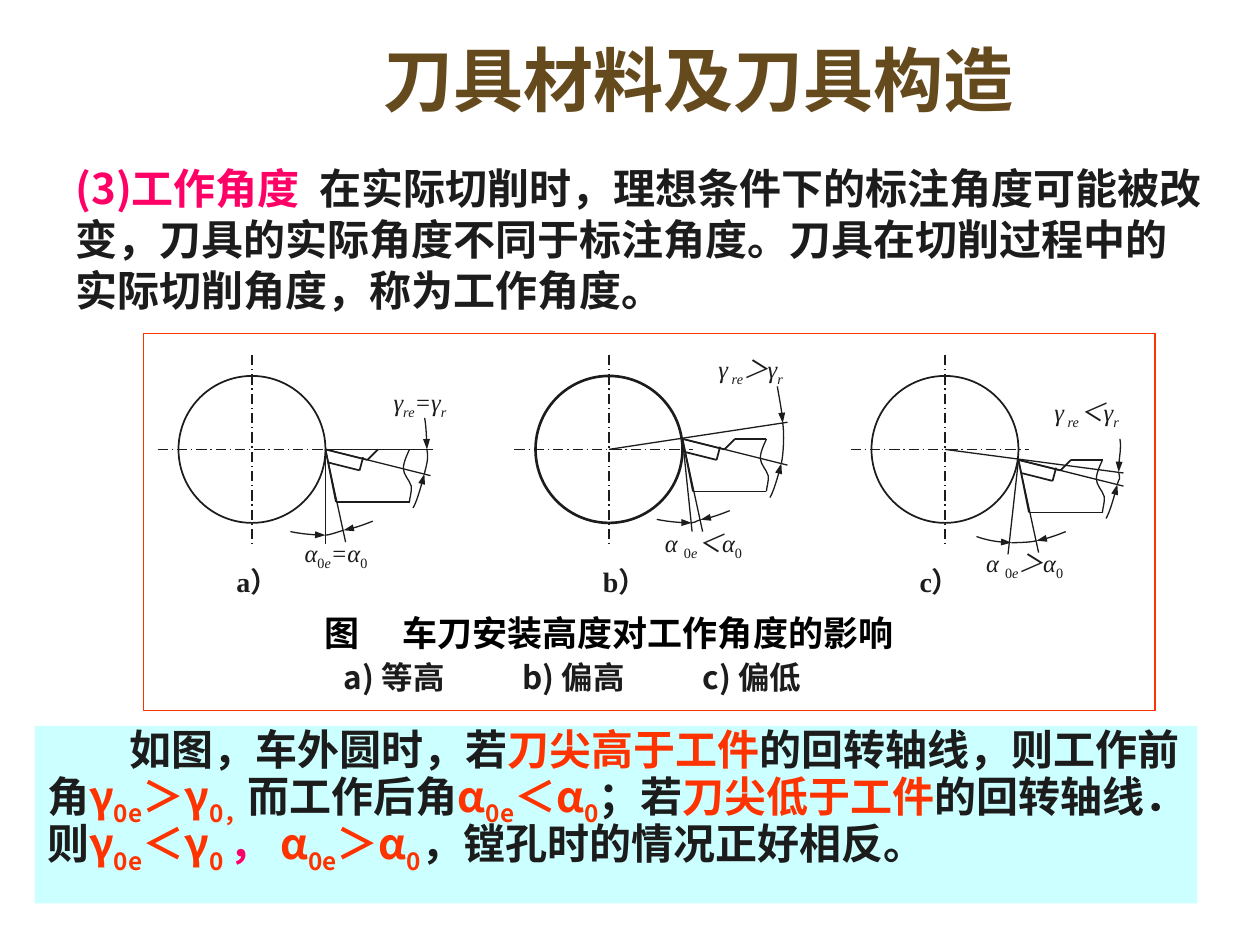
"""Build the slide on working angles of a turning tool."""
from dataclasses import dataclass

from lxml.etree import SubElement
from pptx import Presentation
from pptx.dml.color import RGBColor
from pptx.enum.dml import MSO_LINE
from pptx.enum.shapes import MSO_CONNECTOR, MSO_SHAPE
from pptx.enum.text import MSO_ANCHOR, PP_ALIGN
from pptx.oxml import parse_xml
from pptx.oxml.ns import nsdecls, qn
from pptx.util import Pt


@dataclass(frozen=True)
class Theme:
    ink: str = "1C1C1C"
    brown: str = "654A1D"
    pink: str = "FF0066"
    red: str = "FF3300"
    cyan: str = "CCFFFF"
    white: str = "FFFFFF"
    black: str = "000000"
    title: int = 40
    body: int = 24
    caption: int = 20
    key: int = 18
    panel: int = 16
    label: int = 14
    head_font: str = "Cabin"
    body_font: str = "Noto Sans CJK SC"
    label_font: str = "Times New Roman"


T = Theme()
rgb = RGBColor.from_string
prs = Presentation()
prs.slide_width, prs.slide_height = Pt(720), Pt(540)
s = prs.slides.add_slide(prs.slide_layouts[5])


def write(tf, runs, font, size, align=PP_ALIGN.LEFT, bold=True, italic=False, spacing=None):
    """Fill the first paragraph with (text, colour, subscript) runs; digits stay upright."""
    tf.word_wrap = True
    p = tf.paragraphs[0]
    p.alignment, p.line_spacing = align, spacing
    p.font.name, p.font.size, p.font.bold = font, Pt(size), bold
    for text, color, sub in runs:
        r = p.add_run()
        r.text = text
        r.font.color.rgb = rgb(color)
        r.font.italic = italic and not text.isdigit()
        SubElement(r._r.get_or_add_rPr(), qn("a:ea"), typeface=T.body_font)
        if sub:
            r._r.rPr.set("baseline", "-25000")
    return p


def stroke(points, width=0.75, dash=None, arrow=False):
    """Draw a straight line through two points or a chain of Bézier curves through 3n+1."""
    pts = [(Pt(x), Pt(y)) for x, y in points]
    if len(pts) == 2:
        sp = s.shapes.add_connector(MSO_CONNECTOR.STRAIGHT, *pts[0], *pts[1])
        SubElement(sp._element.spPr, qn("a:effectLst"))
    else:
        fb = s.shapes.build_freeform(*pts[0])
        fb.add_line_segments(pts[1:], close=False)
        sp = fb.convert_to_shape()
        sp.fill.background()
        sp.shadow.inherit = False
        segments = list(sp._element.iter(qn("a:lnTo")))
        outline = segments[0].getparent()
        for i in range(0, len(segments), 3):
            bezier = SubElement(outline, qn("a:cubicBezTo"))
            for segment in segments[i:i + 3]:
                bezier.append(segment[0])
                outline.remove(segment)
    sp.line.color.rgb, sp.line.width = rgb(T.ink), Pt(width)
    if dash:
        sp.line.dash_style = dash
    if arrow:
        SubElement(sp.line._get_or_add_ln(), qn("a:tailEnd"), type="triangle", w="sm", len="med")


title = s.shapes.title
title.left, title.top, title.width, title.height = Pt(212), Pt(0), Pt(397), Pt(90)
title.text_frame.vertical_anchor = MSO_ANCHOR.MIDDLE
write(title.text_frame, [("刀具材料及刀具构造", T.brown, False)], T.head_font, T.title)

intro = s.shapes.add_textbox(Pt(36), Pt(89.4), Pt(660), Pt(94))
write(intro.text_frame, [
    ("(3)工作角度", T.pink, False),
    ("  在实际切削时，理想条件下的标注角度可能被改变，刀具的实际角度不同于标注角度。"
     "刀具在切削过程中的实际切削角度，称为工作角度。", T.ink, False),
], T.body_font, T.body, spacing=Pt(29))

note = s.shapes.add_shape(MSO_SHAPE.RECTANGLE, Pt(19.8), Pt(414.8), Pt(664.4), Pt(101.4))
note.shadow.inherit = False
note.fill.solid()
note.fill.fore_color.rgb = rgb(T.cyan)
note.line.fill.background()
note.text_frame.vertical_anchor = MSO_ANCHOR.TOP
p = write(note.text_frame, [
    ("如图，车外圆时，若", T.ink, False), ("刀尖高于工件", T.red, False),
    ("的回转轴线，则工作前角", T.ink, False),
    ("γ", T.red, False), ("0e", T.red, True), ("＞γ", T.red, False), ("0，", T.red, True),
    ("而工作后角", T.ink, False),
    ("α", T.red, False), ("0e", T.red, True), ("＜α", T.red, False), ("0", T.red, True),
    ("；若", T.ink, False), ("刀尖低于工件", T.red, False), ("的回转轴线．则", T.ink, False),
    ("γ", T.red, False), ("0e", T.red, True), ("＜γ", T.red, False), ("0 ", T.red, True),
    ("， ", T.pink, False),
    ("α", T.red, False), ("0e", T.red, True), ("＞α", T.red, False), ("0", T.red, True),
    ("，镗孔时的情况正好相反。", T.ink, False),
], T.body_font, T.body, spacing=0.83)
p._p.pPr.set("indent", str(Pt(47)))

frame = s.shapes.add_shape(MSO_SHAPE.RECTANGLE, Pt(82), Pt(190.6), Pt(578), Pt(215.4))
frame.shadow.inherit = False
frame.fill.solid()
frame.fill.fore_color.rgb = rgb(T.white)
frame.line.color.rgb, frame.line.width = rgb(T.red), Pt(0.75)

caption = s.shapes.add_textbox(Pt(150), Pt(346), Pt(396), Pt(31.5))
write(caption.text_frame, [("图　 车刀安装高度对工作角度的影响", T.black, False)],
      T.body_font, T.caption, PP_ALIGN.CENTER, spacing=Pt(24))

key = s.shapes.add_textbox(Pt(189.5), Pt(372.3), Pt(313), Pt(29))
p = key.text_frame.paragraphs[0]
p._p.get_or_add_pPr().append(parse_xml(
    f'<a:tabLst {nsdecls("a")}><a:tab pos="{Pt(102)}" algn="l"/>'
    f'<a:tab pos="{Pt(205)}" algn="l"/></a:tabLst>'))
write(key.text_frame, [("a) 等高\tb) 偏高\tc) 偏低", T.ink, False)],
      T.body_font, T.key, spacing=Pt(21.5))

AXIS_Y, RADIUS = 256.8, 42
TOOL = [((0, 0), (24, 6)), ((24, 6), (30, 0)), ((30, 0), (48, 0)), ((0, 0), (6, 30)),
        ((6, 30), (48, 30)), ((1.5, 7.5), (19.5, 12)), ((19.5, 12), (21.5, 4.5))]
BREAK = [(48, 0), (47.5, 1.5), (44.5, 7), (44.5, 11), (44.5, 14.5), (48, 17.5), (49, 21),
         (49.5, 24), (48, 28), (48, 30)]
FACE, FLANK = (60, 15), (11.5, 53)
RAKE_ARROW = [(50, 33.5), (52, 30), (55, 20), (56.5, 14)]
RELIEF_ARROW = [(27, 41), (22, 43), (15, 45.5), (10.3, 46.2)]

panels = [
    dict(name="a", x=144, dy=0, ring=1, sign="=", gap="", ray=((0, 0), (61.5, 0)), drop=(0, 54),
         rake=((56.7, -18), (58, 0)), relief=(0, 49), lift=2,
         gamma=(210, 221, 60), alpha=(162, 307.5, 60), letter=126),
    dict(name="b", x=348, dy=-6, ring=1.5, sign="＞", gap=" ", ray=((-42, 6), (60, -9.5)),
         drop=(5.5, 53), rake=((54.2, -30), (57.3, -9)), relief=(5.3, 48), lift=2,
         gamma=(396, 202.5, 66), alpha=(366, 301.5, 72), letter=336),
    dict(name="c", x=540, dy=6, ring=1, sign="＜", gap=" ", ray=((-42, -6), (60, 7.5)),
         drop=(-6, 54), rake=((58, -12), (57.3, 7)), relief=(-4, 47.3), lift=3.5,
         gamma=(588, 227, 66), alpha=(549.5, 313, 72), letter=516),
]
OPPOSITE = {"=": "=", "＞": "＜", "＜": "＞"}

for d in panels:
    cx, tip_x, tip_y = d["x"], d["x"] + RADIUS, AXIS_Y + d["dy"]
    (rx, ry), (ex, ey) = d["rake"]
    lx, ly = d["relief"]
    rake_arrow = [(rx, ry), (rx + 0.8, ry + 5), (ex - 0.2, ey - 6), (ex, ey)]
    rake_arc = [(ex, ey), (ex + 1, ey + 6), (57.7, 9), (56.5, 14)]
    relief_arrow = [(lx - 20, ly - d["lift"]), (lx - 15, ly - d["lift"] / 2), (lx - 7, ly), (lx, ly)]
    relief_arc = [(10.3, 46.2), (7, 47.2), (lx + 2, ly), (lx, ly)]
    lines = [(pts, 1, False) for pts in TOOL]
    lines += [(pts, 0.75, False) for pts in (BREAK, rake_arc, relief_arc, d["ray"],
                                            ((0, 0), FACE), ((0, 0), FLANK), ((0, 0), d["drop"]))]
    lines += [(pts, 0.75, True) for pts in (RAKE_ARROW, RELIEF_ARROW, rake_arrow, relief_arrow)]
    for pts, width, arrow in lines:
        stroke([(tip_x + x, tip_y + y) for x, y in pts], width, arrow=arrow)

    work = s.shapes.add_shape(MSO_SHAPE.OVAL, Pt(cx - RADIUS), Pt(AXIS_Y - RADIUS),
                              Pt(2 * RADIUS), Pt(2 * RADIUS))
    work.shadow.inherit = False
    work.fill.background()
    work.line.color.rgb, work.line.width = rgb(T.ink), Pt(d["ring"])
    stroke([(cx - 54, AXIS_Y), (cx + 48, AXIS_Y)], dash=MSO_LINE.LONG_DASH_DOT)
    stroke([(cx, AXIS_Y - 54), (cx, AXIS_Y + 54)], dash=MSO_LINE.LONG_DASH_DOT)

    gamma = [("γ", False), (d["gap"] + "re", True), (d["sign"] + "γ", False), ("r", True)]
    alpha = [("α" + d["gap"], False), ("0", True), ("e", True),
             (OPPOSITE[d["sign"]] + "α", False), ("0", True)]
    for (x, y, w), parts, size, bold in (
            (d["gamma"], gamma, T.label, False), (d["alpha"], alpha, T.label, False),
            ((d["letter"], 322.5, 42), [(d["name"] + "）", False)], T.panel, True)):
        tf = s.shapes.add_textbox(Pt(x), Pt(y), Pt(w), Pt(22)).text_frame
        tf.margin_left = tf.margin_right = tf.margin_top = tf.margin_bottom = 0
        write(tf, [(text, T.ink, sub) for text, sub in parts], T.label_font, size,
              PP_ALIGN.CENTER, bold, italic=not bold)

prs.save("out.pptx")
